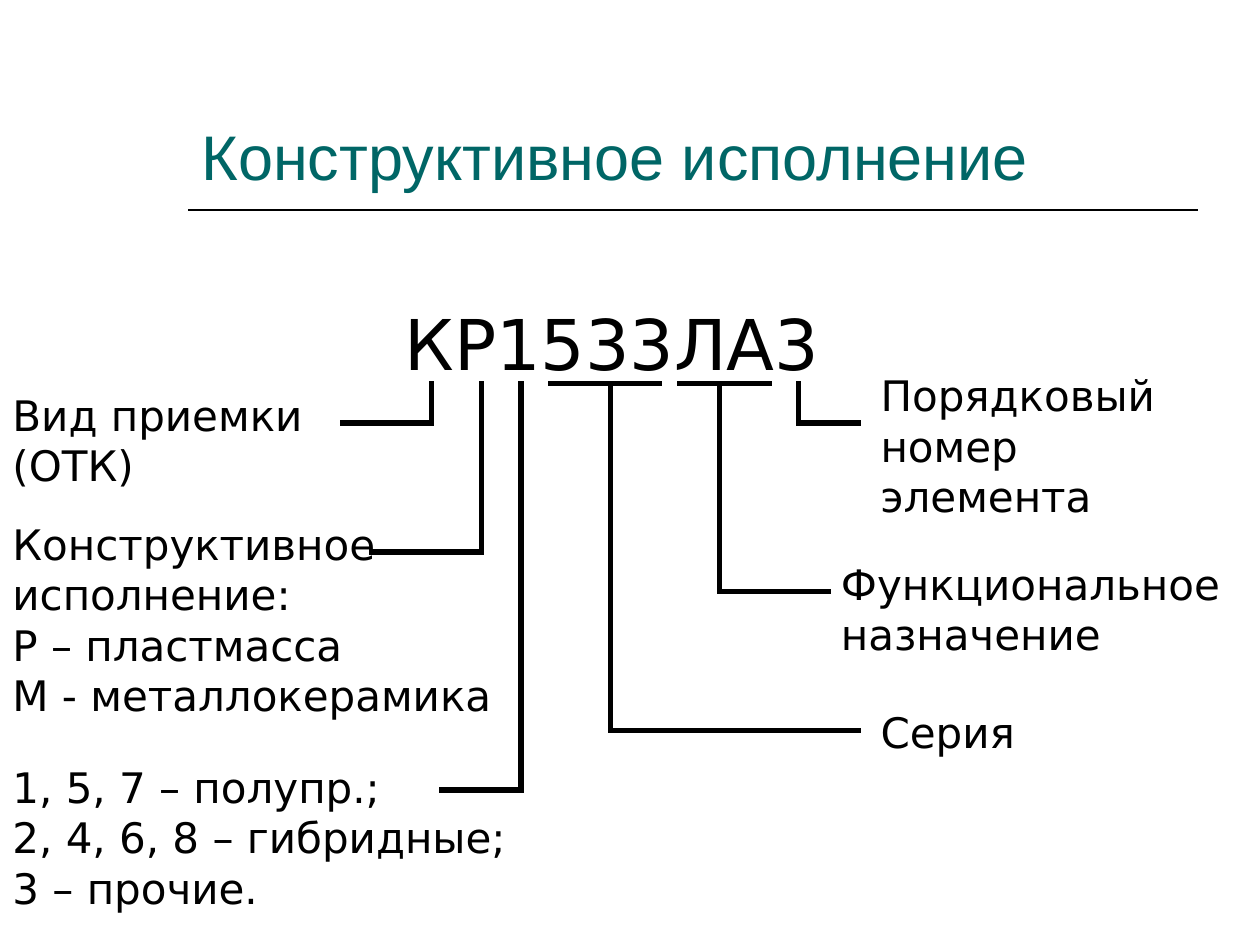
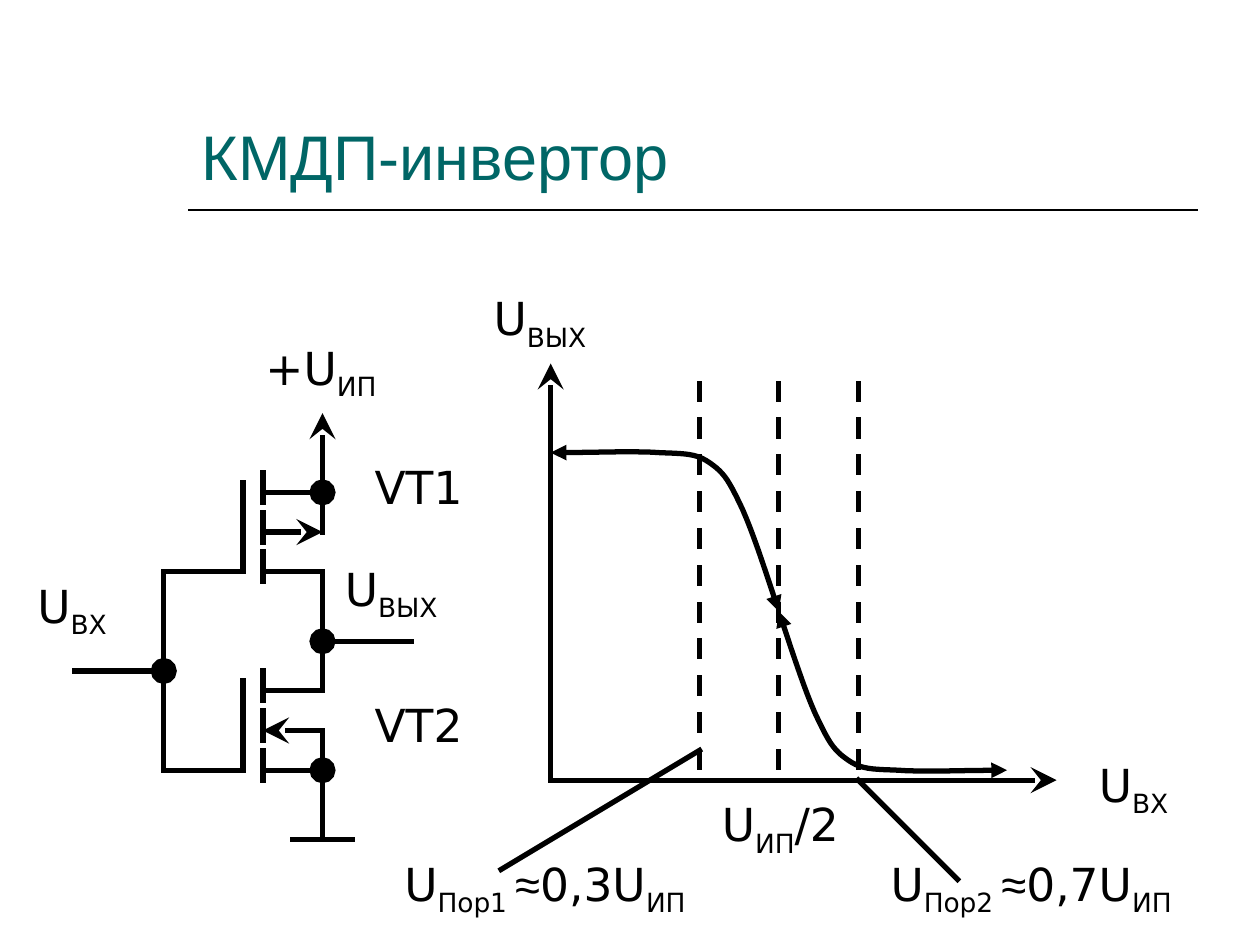
from itertools import pairwise

from lxml import etree
from pptx import Presentation, util as u
from pptx.dml.color import RGBColor
from pptx.enum import dml, shapes, text
from pptx.oxml.ns import qn

BLACK = RGBColor(0x00, 0x00, 0x00)
TEAL = RGBColor(0x00, 0x66, 0x66)
SANS, HEAD = "DejaVu Sans", "Arial"
CELL = 10 / 127  # grid step, in inches
LEFT, TOP = 0.04, 0.05  # grid origin


def pos(col, row):
    return u.Inches(LEFT + col * CELL), u.Inches(TOP + row * CELL)


# Text

def add_run(para, words, size, font=SANS, color=BLACK, sub=False):
    run = para.add_run()
    run.text = words
    run.font.size = u.Pt(size)
    run.font.name = font
    run.font.color.rgb = color
    if sub:
        run._r.get_or_add_rPr().set("baseline", "-25000")


def add_box(slide, left, top, width, height, anchor=text.MSO_ANCHOR.TOP):
    box = slide.shapes.add_textbox(left, top, u.Inches(width), u.Inches(height))
    frame = box.text_frame
    frame.word_wrap = True
    frame.vertical_anchor = anchor
    return frame.paragraphs[0]


def add_note(slide, col, row, width, height, words, size=24):
    """Plain label; each new line is a line break."""
    para = add_box(slide, *pos(col, row), width, height)
    for num, part in enumerate(words.split("\n")):
        if num:
            para.add_line_break()
        add_run(para, part, size)


def add_sign(slide, col, row, width, words):
    """Formula label; every second part between underscores is lowered."""
    para = add_box(slide, *pos(col, row), width, 0.6)
    for num, part in enumerate(words.split("_")):
        if part:
            font = HEAD if part == "≈" else SANS
            add_run(para, part, 26, font, sub=num % 2 == 1)


# Lines

def add_end(ln, tag, kind, size):
    etree.SubElement(ln, qn(f"a:{tag}"), type=kind, w=size, len=size)


def add_line(slide, start, end, width=3, mark=None, dash=False):
    line = slide.shapes.add_connector(shapes.MSO_CONNECTOR.STRAIGHT, *start, *end)
    line.line.color.rgb = BLACK
    line.line.width = u.Pt(width)
    if dash:
        line.line.dash_style = dml.MSO_LINE.DASH
    ln = line.get_or_add_ln()
    ln.set("cap", "sq")
    if mark:
        add_end(ln, "tailEnd", mark, "lg")
    etree.SubElement(line._element.spPr, qn("a:effectLst"))


def add_wire(slide, *spots, mark=None, dash=False):
    """Straight runs through grid spots; the mark sits on the last one."""
    pairs = list(pairwise(spots))
    for num, (start, end) in enumerate(pairs, 1):
        last = mark if num == len(pairs) else None
        add_line(slide, pos(*start), pos(*end), mark=last, dash=dash)


def trace(knots, steps=10):
    """Points along a chain of cubic curves."""
    spots = [knots[0]]
    for base in range(0, len(knots) - 1, 3):
        quad = knots[base:base + 4]
        for step in range(1, steps + 1):
            t = step / steps
            parts = ((1 - t) ** 3, 3 * t * (1 - t) ** 2, 3 * t * t * (1 - t), t ** 3)
            spots.append(tuple(sum(p * k[axis] for p, k in zip(parts, quad))
                               for axis in (0, 1)))
    return spots


def add_curve(slide, knots):
    spots = [pos(*spot) for spot in trace(knots)]
    pen = slide.shapes.build_freeform(*spots[0])
    pen.add_line_segments(spots[1:], close=False)
    curve = pen.convert_to_shape()
    curve.shadow.inherit = False
    curve.fill.background()
    curve.line.color.rgb = BLACK
    curve.line.width = u.Pt(3)
    ln = curve.get_or_add_ln()
    for tag in ("headEnd", "tailEnd"):
        add_end(ln, tag, "triangle", "med")


# Slides

def new_slide(deck, title):
    slide = deck.slides.add_slide(deck.slide_layouts[6])
    wide, high = deck.slide_width, deck.slide_height
    rule = int(high * 0.2222)
    add_line(slide, (int(wide * 0.15), rule), (int(wide * 0.95), rule), width=1)
    para = add_box(slide, int(wide * 0.15), int(high * 0.044), 8, 1.25,
                   text.MSO_ANCHOR.BOTTOM)
    add_run(para, title, 36, HEAD, TEAL)
    return slide


def draw_code(slide):
    add_note(slide, 39, 29, 4.09, 0.77, "КР1533ЛА3", 40)
    # Bars under the groups of signs
    for start, end in ((55, 66), (68, 77)):
        add_wire(slide, (start, 38), (end, 38))
    # Leaders: column of the sign, row of the bend, column of the label
    for col, row, end in ((43, 42, 34), (48, 55, 37), (52, 79, 44),
                          (61, 73, 86), (72, 59, 83), (80, 42, 86)):
        add_wire(slide, (col, 38), (col, row), (end, row))
    for note in (
        (-0.5, 38, 2.8, 0.9, "Вид приемки (ОТК)"),
        (-0.5, 51, 4.06, 1.7,
         "Конструктивное исполнение:\nР – пластмасса\nМ - металлокерамика"),
        (-0.5, 75.5, 4.37, 1.3,
         "1, 5, 7 – полупр.;\n2, 4, 6, 8 – гибридные;\n3 – прочие."),
        (87, 36, 2.8, 1.3, "Порядковый номер элемента"),
        (83, 55, 3.43, 0.9, "Функциональное назначение"),
        (87, 70, 2.8, 0.5, "Серия"),
    ):
        add_note(slide, *note)


def draw_mos(slide, top, inward):
    """Transistor with its top at the given row; the arrow may point inward."""
    add_wire(slide, (24, top + 1), (24, top + 10), (16, top + 10))
    for row in range(top, top + 12, 4):
        add_wire(slide, (26, row), (26, row + 3))
    for row in (top + 2, top + 10):
        add_wire(slide, (26, row), (32, row))
    ends = [(26, top + 6), (32, top + 6)]
    add_wire(slide, *(reversed(ends) if inward else ends), mark="stealth")


def draw_gate(slide):
    draw_mos(slide, 47, False)
    draw_mos(slide, 67, True)
    # Supply, output and ground
    add_wire(slide, (32, 49), (32, 41), mark="stealth")
    add_wire(slide, (32, 53), (32, 49), mark="oval")
    add_wire(slide, (32, 57), (32, 69))
    add_wire(slide, (41, 64), (32, 64), mark="oval")
    add_wire(slide, (32, 73), (32, 77))
    add_wire(slide, (32, 84), (32, 77), mark="oval")
    add_wire(slide, (29, 84), (35, 84))
    # Input
    add_wire(slide, (16, 57), (16, 77))
    add_wire(slide, (7, 67), (16, 67), mark="oval")
    for row, name in ((45, "VT1"), (69, "VT2")):
        add_note(slide, 36, row, 1.02, 0.54, name, 26)
    add_sign(slide, 2, 57, 0.94, "U_ВХ")
    add_sign(slide, 33, 55.25, 1.1, "U_ВЫХ")
    add_sign(slide, 25, 33, 1.26, "+U_ИП")


def draw_plot(slide):
    # Axes and thresholds
    for end in ((55, 36), (106, 78)):
        add_wire(slide, (55, 78), end, mark="stealth")
    for col in (70, 78, 86):
        add_wire(slide, (col, 38), (col, 78), dash=True)
    add_wire(slide, (70, 75), (50, 87))
    add_wire(slide, (86, 78), (96, 88))
    # Transfer curve: the lower half mirrors the upper one about its end
    upper = [(55, 45), (59.2, 45), (63.4, 44.8), (66, 45), (68.7, 45.1),
             (69.7, 45.1), (71, 46), (72.3, 46.9), (72.8, 47.5), (74, 50),
             (75.2, 52.4), (76.6, 56.8), (78, 61)]
    add_curve(slide, upper)
    add_curve(slide, [(2 * 78 - col, 2 * 61 - row) for col, row in upper])
    for sign in (
        (48, 28, 1.1, "U_ВЫХ"),
        (109, 75, 0.94, "U_ВХ"),
        (71, 79, 1.57, "U_ИП_/2"),
        (39, 85, 2.91, "U_Пор1 _≈__0,3U_ИП"),
        (88, 85, 2.91, "U_Пор2 _≈__0,7U_ИП"),
    ):
        add_sign(slide, *sign)


def main():
    deck = Presentation()
    deck.slide_width, deck.slide_height = u.Inches(10), u.Inches(7.5)
    draw_code(new_slide(deck, "Конструктивное исполнение"))
    gate = new_slide(deck, "КМДП-инвертор")
    draw_gate(gate)
    draw_plot(gate)
    deck.save("out.pptx")


if __name__ == "__main__":
    main()
